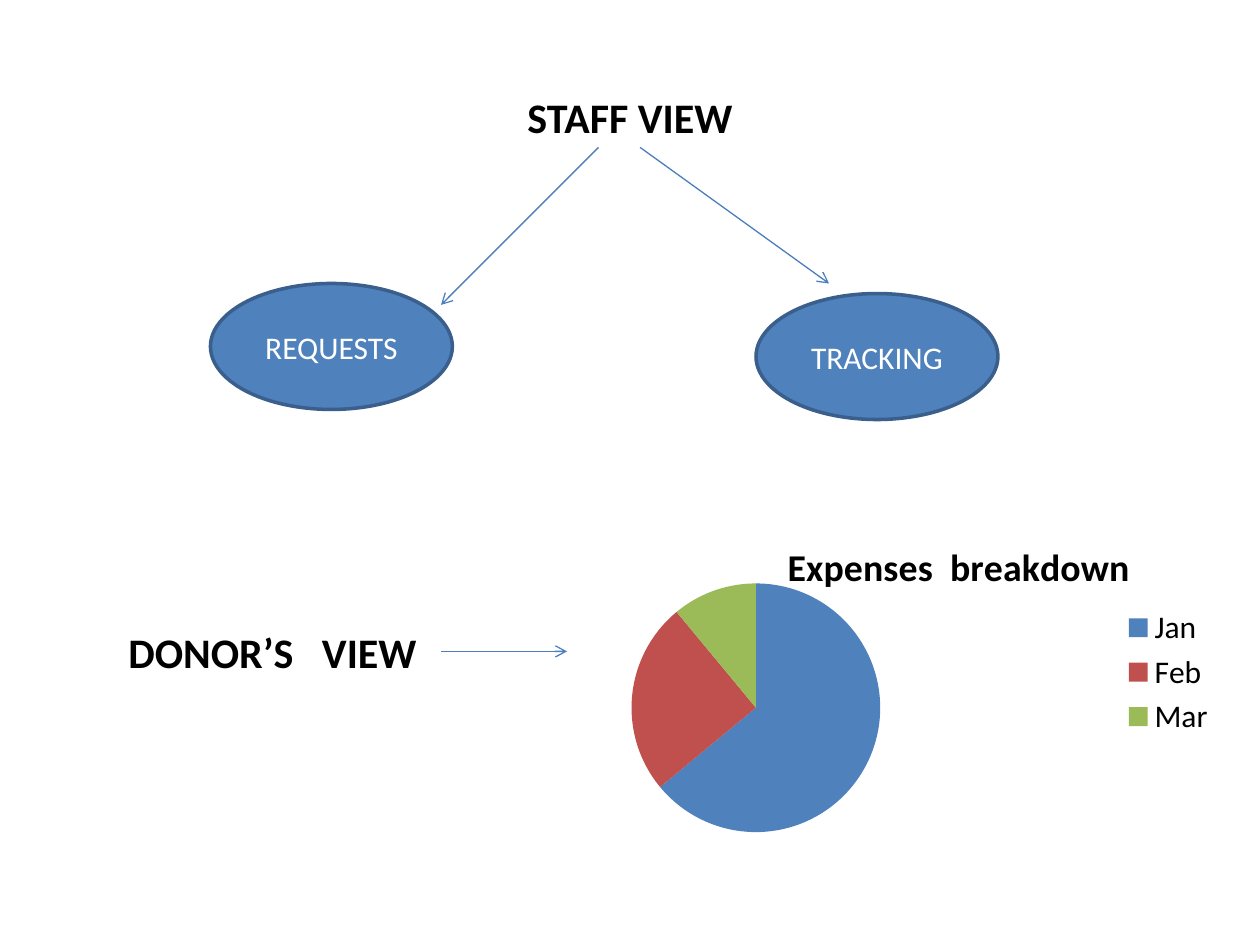
from lxml import etree
from pptx import Presentation
from pptx.chart.data import CategoryChartData
from pptx.dml.color import RGBColor
from pptx.enum.chart import XL_CHART_TYPE, XL_LEGEND_POSITION
from pptx.enum.shapes import MSO_CONNECTOR, MSO_SHAPE
from pptx.enum.text import MSO_ANCHOR, PP_ALIGN
from pptx.oxml.ns import qn
from pptx.util import Inches, Pt

PIE = XL_CHART_TYPE.PIE
LEGEND_RIGHT = XL_LEGEND_POSITION.RIGHT
STRAIGHT = MSO_CONNECTOR.STRAIGHT
OVAL = MSO_SHAPE.OVAL
MIDDLE = MSO_ANCHOR.MIDDLE
CENTER, LEFT = PP_ALIGN.CENTER, PP_ALIGN.LEFT

THEME = {
    "font": "Calibri",
    "text": RGBColor(0, 0, 0),
    "light": RGBColor(0xFF, 0xFF, 0xFF),
    "oval": RGBColor(0x4F, 0x81, 0xBD),
    "oval_line": RGBColor(0x3A, 0x5F, 0x8C),
    "arrow": RGBColor(0x4B, 0x7E, 0xBC),
    "slices": [RGBColor(0x4F, 0x81, 0xBD), RGBColor(0xC0, 0x50, 0x4D), RGBColor(0x9B, 0xBB, 0x59)],
    "heading": Pt(24),
    "body": Pt(18),
    "chart_title": Pt(21.6),
}

STAFF = ("STAFF VIEW", (0.5, 0.3, 9, 1.25))
DONOR = ("DONOR’S   VIEW", (0.92, 4.92, 3, 0.5))
FUNCTIONS = [("REQUESTS", 1.67, 2.25), ("TRACKING", 6, 2.33)]
OVAL_SIZE = (1.92, 1)
ARROWS = [(4.75, 1.17, 3.5, 2.42), (5.08, 1.17, 6.58, 2.25), (3.5, 5.17, 4.5, 5.17)]
EXPENSES = {"Jan": 64, "Feb": 25, "Mar": 11}
EXPENSES_TITLE = "Expenses  breakdown"
EXPENSES_BOX = (3.17, 3.92, 6.58, 2.83)
TITLE_LAYOUT = {"xMode": "edge", "yMode": "edge", "x": 0.46, "y": 0.11}
PIE_LAYOUT = {"layoutTarget": "inner", "xMode": "edge", "yMode": "edge",
              "x": 0.28, "y": 0.25, "w": 0.3, "h": 0.7}


def inches(values):
    return [Inches(value) for value in values]


def style_font(font, size, color, bold=False):
    font.name = THEME["font"]
    font.size = size
    font.bold = bold
    font.color.rgb = color


def write(frame, text, size, color, align, bold=False):
    frame.text = text
    paragraph = frame.paragraphs[0]
    paragraph.alignment = align
    style_font(paragraph.runs[0].font, size, color, bold)


def add_oval(slide, label, left, top):
    oval = slide.shapes.add_shape(OVAL, *inches((left, top, *OVAL_SIZE)))
    oval.shadow.inherit = False
    oval.fill.solid()
    oval.fill.fore_color.rgb = THEME["oval"]
    oval.line.color.rgb = THEME["oval_line"]
    oval.line.width = Pt(2)
    oval.text_frame.vertical_anchor = MIDDLE
    write(oval.text_frame, label, THEME["body"], THEME["light"], CENTER)


def add_arrow(slide, ends):
    arrow = slide.shapes.add_connector(STRAIGHT, *inches(ends))
    arrow.line.color.rgb = THEME["arrow"]
    arrow.line.width = Pt(0.75)
    etree.SubElement(arrow.line._get_or_add_ln(), qn("a:tailEnd"), type="arrow")
    etree.SubElement(arrow._element.spPr, qn("a:effectLst"))


def place(element, settings, index):
    for old in element.findall(qn("c:layout")):
        element.remove(old)
    layout = etree.Element(qn("c:layout"))
    manual = etree.SubElement(layout, qn("c:manualLayout"))
    for key, value in settings.items():
        etree.SubElement(manual, qn(f"c:{key}"), val=str(value))
    element.insert(index, layout)


def add_expenses(slide):
    data = CategoryChartData()
    data.categories = list(EXPENSES)
    data.add_series("Series 1", list(EXPENSES.values()))
    chart = slide.shapes.add_chart(PIE, *inches(EXPENSES_BOX), data).chart
    style_font(chart.font, THEME["body"], THEME["text"])
    chart.has_title = True
    write(chart.chart_title.text_frame, EXPENSES_TITLE, THEME["chart_title"],
          THEME["text"], CENTER, True)
    chart.has_legend = True
    chart.legend.position = LEGEND_RIGHT
    chart.legend.include_in_layout = False
    pie = chart.plots[0]
    pie.vary_by_categories = True
    for index, color in enumerate(THEME["slices"]):
        fill = pie.series[0].points[index].format.fill
        fill.solid()
        fill.fore_color.rgb = color
    place(chart.chart_title._element, TITLE_LAYOUT, 1)
    place(chart._chartSpace.chart.plotArea, PIE_LAYOUT, 0)


prs = Presentation()
prs.slide_width, prs.slide_height = Inches(10), Inches(7.5)
slide = prs.slides.add_slide(prs.slide_layouts[5])

staff_text, staff_box = STAFF
staff = slide.shapes.title
staff.left, staff.top, staff.width, staff.height = inches(staff_box)
staff.text_frame.vertical_anchor = MIDDLE
write(staff.text_frame, staff_text, THEME["heading"], THEME["text"], CENTER, True)

for function in FUNCTIONS:
    add_oval(slide, *function)

donor_text, donor_box = DONOR
donor = slide.shapes.add_textbox(*inches(donor_box))
donor.text_frame.word_wrap = True
write(donor.text_frame, donor_text, THEME["heading"], THEME["text"], LEFT, True)

add_expenses(slide)
for ends in ARROWS:
    add_arrow(slide, ends)

prs.save("out.pptx")
